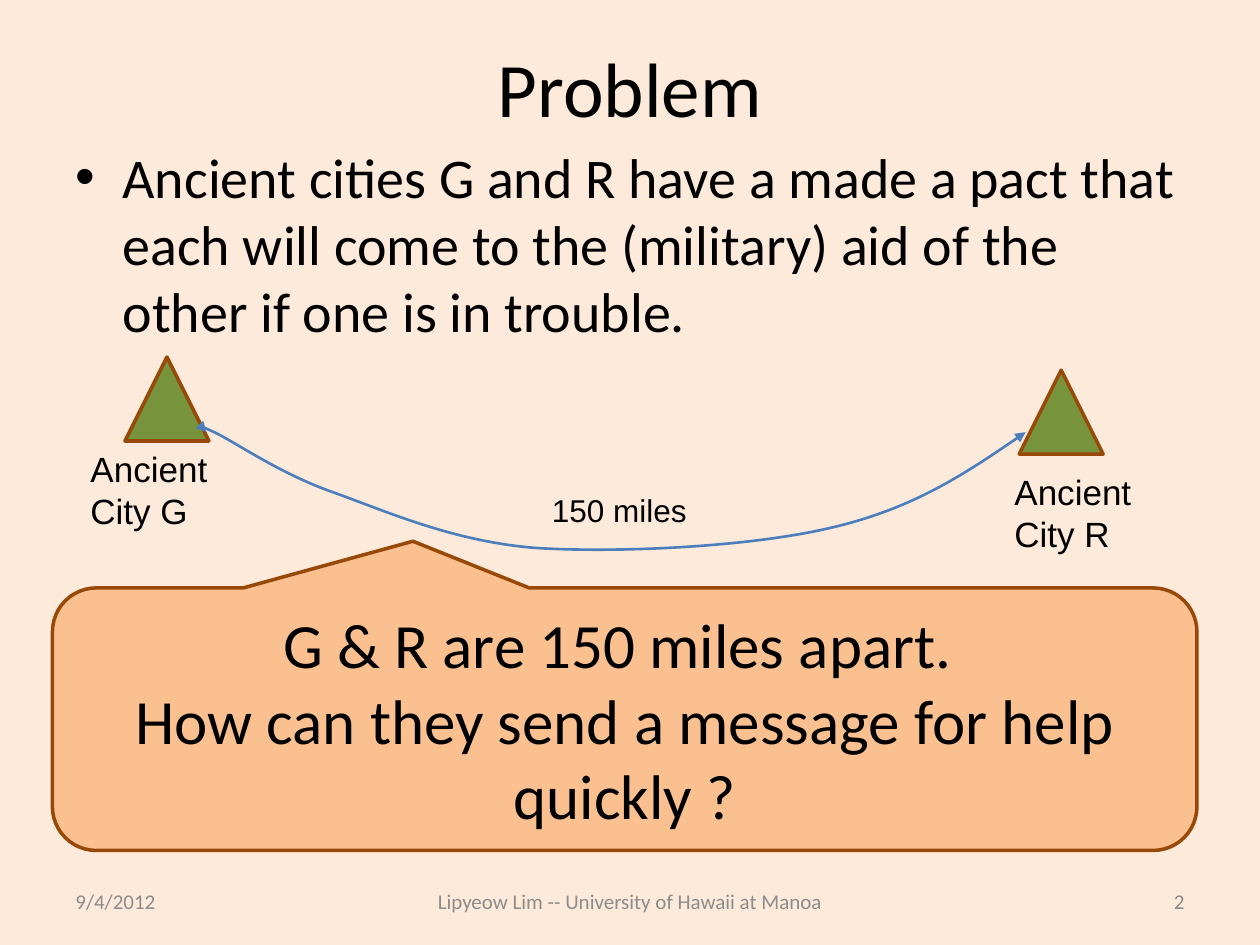
from dataclasses import dataclass

from lxml import etree
from pptx import Presentation
from pptx.dml.color import RGBColor
from pptx.enum.shapes import MSO_SHAPE as SHAPE
from pptx.enum.text import MSO_ANCHOR as ANCHOR, PP_ALIGN as ALIGN
from pptx.oxml.ns import qn
from pptx.util import Pt


@dataclass(frozen=True)
class Theme:
    background: str = "FDEADA"
    text: str = "000000"
    footer: str = "8C8C8C"
    number: str = "898989"
    city: str = "77933C"
    outline: str = "984807"
    route: str = "4B7EBC"
    callout: str = "FAC090"
    heading: str = "Calibri"
    label: str = "Arial"
    title_size: int = 44
    body_size: int = 32
    callout_size: int = 36
    city_size: int = 20
    distance_size: int = 18
    footer_size: int = 12


T = Theme()
rgb = RGBColor.from_string


def write(sp, lines, size, font=T.heading, color=T.text,
          align=ALIGN.LEFT, anchor=ANCHOR.TOP, wrap=True):
    """Fill a shape with one paragraph per line and return its text frame."""
    tf = sp.text_frame
    tf.word_wrap = wrap
    tf.vertical_anchor = anchor
    tf.text = "\n".join(lines)
    for p in tf.paragraphs:
        p.alignment = align
        p.font.name = font
        p.font.size = Pt(size)
        p.font.color.rgb = rgb(color)
    return tf


def add_filled(kind, box, fill):
    sp = s.shapes.add_shape(kind, *map(Pt, box))
    sp.shadow.inherit = False
    sp.fill.solid()
    sp.fill.fore_color.rgb = rgb(fill)
    sp.line.color.rgb = rgb(T.outline)
    sp.line.width = Pt(2)
    return sp


prs = Presentation()
prs.slide_width, prs.slide_height = Pt(720), Pt(540)
s = prs.slides.add_slide(prs.slide_layouts[6])
s.background.fill.solid()
s.background.fill.fore_color.rgb = rgb(T.background)

# Title and bullet
title = s.shapes.add_textbox(Pt(36), Pt(21.6), Pt(648), Pt(56.2))
write(title, ["Problem"], T.title_size, align=ALIGN.CENTER, anchor=ANCHOR.MIDDLE)

body = s.shapes.add_textbox(Pt(36), Pt(77.8), Pt(648), Pt(150))
pact = ("Ancient cities G and R have a made a pact that each will come "
        "to the (military) aid of the other if one is in trouble.")
p = write(body, [pact], T.body_size).paragraphs[0]
pPr = p._p.get_or_add_pPr()
pPr.set("marL", str(Pt(27)))
pPr.set("indent", str(Pt(-27)))
bullet_font = etree.Element(qn("a:buFont"), typeface=T.label)
bullet = etree.Element(qn("a:buChar"), char="•")
pPr.insert(0, bullet_font)
bullet_font.addnext(bullet)

# Footer
for text, left, width, align, color in (
    ("9/4/2012", 36, 168, ALIGN.LEFT, T.footer),
    ("Lipyeow Lim -- University of Hawaii at Manoa", 216, 288, ALIGN.CENTER, T.footer),
    ("2", 516, 168, ALIGN.RIGHT, T.number),
):
    sp = s.shapes.add_textbox(Pt(left), Pt(500.5), Pt(width), Pt(28.75))
    write(sp, [text], T.footer_size, color=color, align=align, anchor=ANCHOR.MIDDLE)

# Cities
for name, peak, label_box in (
    ("City G", (71.4, 204), (44.6, 252, 82, 55.7)),
    ("City R", (582.4, 211.5), (572.6, 265.5, 88, 55.7)),
):
    add_filled(SHAPE.ISOSCELES_TRIANGLE, (*peak, 48, 48), T.city)
    sp = s.shapes.add_textbox(*map(Pt, label_box))
    write(sp, ["Ancient", name], T.city_size, T.label, wrap=False)

# Route: drawn through its control points, then each three become one Bézier
start = (118, 247)
controls = [
    (114.5, 244), (110, 241.2), (122.4, 247),
    (134.6, 252.7), (159.8, 270.7), (190.8, 281.5),
    (221, 292.3), (259.2, 309.6), (306.7, 313.2),
    (354.2, 316.1), (428.4, 312.5), (474.5, 301.7),
    (521.3, 290.9), (553.7, 269.3), (586.1, 247),
]
builder = s.shapes.build_freeform(Pt(start[0]), Pt(start[1]))
builder.add_line_segments([(Pt(x), Pt(y)) for x, y in controls], close=False)
route = builder.convert_to_shape()
segments = list(route._element.iter(qn("a:lnTo")))
for i in range(0, len(segments), 3):
    curve = etree.Element(qn("a:cubicBezTo"))
    segments[i].addprevious(curve)
    for segment in segments[i:i + 3]:
        curve.append(segment[0])
        segment.getparent().remove(segment)
route.shadow.inherit = False
route.fill.background()
route.line.color.rgb = rgb(T.route)
route.line.width = Pt(1.5)
ln = route.line._get_or_add_ln()
for end in ("a:headEnd", "a:tailEnd"):
    etree.SubElement(ln, qn(end), type="triangle")

distance = s.shapes.add_textbox(Pt(308.2), Pt(277.2), Pt(92.2), Pt(29))
write(distance, ["150 miles"], T.distance_size, T.label, wrap=False)

# Question
callout = add_filled(SHAPE.ROUNDED_RECTANGULAR_CALLOUT, (30, 336, 654, 150), T.callout)
for i, value in enumerate((-0.185, -0.678, 0.167)):
    callout.adjustments[i] = value
write(callout,
      ["G & R are 150 miles apart. ", "How can they send a message for help quickly ?"],
      T.callout_size, align=ALIGN.CENTER, anchor=ANCHOR.MIDDLE)

prs.save("out.pptx")
